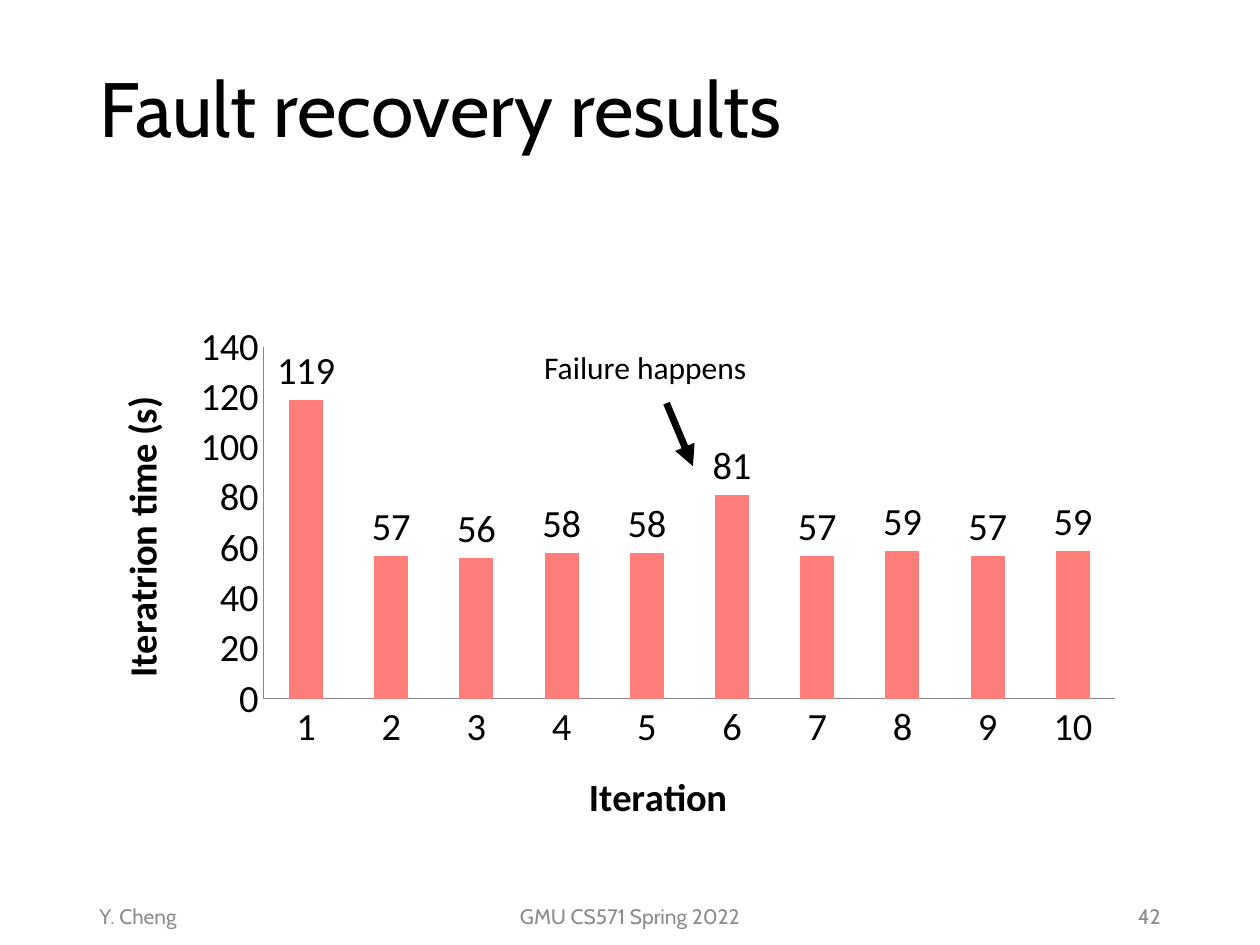
from lxml import etree
from pptx import Presentation
from pptx.chart.data import CategoryChartData
from pptx.dml.color import RGBColor
from pptx.enum.chart import XL_CHART_TYPE as CT, XL_LABEL_POSITION as LP, XL_TICK_MARK as TM
from pptx.enum.shapes import MSO_CONNECTOR as MC
from pptx.enum.text import MSO_ANCHOR as MA, MSO_AUTO_SIZE as AS, PP_ALIGN as PA
from pptx.oxml import parse_xml
from pptx.oxml.ns import nsdecls, qn
from pptx.util import Inches, Pt


def rgb(value):
    return RGBColor.from_string(value)


class SlideBuilder:
    """Holds the style and the current slide, and adds elements to it."""

    heading_font, body_font = "Cabin", "Calibri"
    ink, muted, bar, axis = "000000", "8C8C8C", "FF7E79", "868686"

    def __init__(self, slide):
        self.s = slide

    def style(self, font, size, color, name, bold=False):
        font.size, font.name, font.bold = Pt(size), name, bold
        font.color.rgb = rgb(color)

    def text(self, box, words, size, color, name, align=PA.LEFT,
             anchor=MA.MIDDLE, wrap=True, spacing=None):
        tf = self.s.shapes.add_textbox(*map(Inches, box)).text_frame
        tf.word_wrap, tf.vertical_anchor = wrap, anchor
        tf.auto_size = AS.NONE if wrap else AS.SHAPE_TO_FIT_TEXT
        p = tf.paragraphs[0]
        p.text, p.alignment, p.line_spacing = words, align, spacing
        self.style(p.font, size, color, name)

    def title(self, box, words):
        self.text(box, words, 44, self.ink, self.heading_font, spacing=0.9)

    def footer(self, left, width, words, align):
        self.text((left, 7.07, width, 0.4), words, 12, self.muted,
                  self.heading_font, align)

    def label(self, box, words):
        self.text(box, words, 18, self.ink, self.body_font,
                  anchor=MA.TOP, wrap=False)

    def arrow(self, start, end, width):
        c = self.s.shapes.add_connector(
            MC.STRAIGHT, *map(Inches, (*start, *end)))
        c.line.color.rgb, c.line.width = rgb(self.ink), Pt(width)
        etree.SubElement(c.line._get_or_add_ln(), qn("a:tailEnd"), type="triangle")
        etree.SubElement(c._element.spPr, qn("a:effectLst"))

    def axis_style(self, axis, title):
        axis.has_major_gridlines = False
        axis.major_tick_mark = axis.minor_tick_mark = TM.NONE
        axis.format.line.color.rgb = rgb(self.axis)
        axis.has_title = True
        p = axis.axis_title.text_frame.paragraphs[0]
        p.text = title
        self.style(p.font, 22, self.ink, self.body_font, bold=True)

    def column_chart(self, box, values, cat_title, val_title, top, step, plot_box):
        data = CategoryChartData()
        data.categories = [str(i) for i in range(1, len(values) + 1)]
        data.add_series("Series 1", values)
        chart = self.s.shapes.add_chart(
            CT.COLUMN_CLUSTERED, *map(Inches, box), data).chart
        chart.has_title = chart.has_legend = False
        self.style(chart.font, 22, self.ink, self.body_font)
        self.axis_style(chart.category_axis, cat_title)
        self.axis_style(chart.value_axis, val_title)
        chart.value_axis.minimum_scale = 0
        chart.value_axis.maximum_scale = top
        chart.value_axis.major_unit = step

        plot = chart.plots[0]
        plot.gap_width, plot.vary_by_categories = 150, False
        fill = plot.series[0].format.fill
        fill.solid()
        fill.fore_color.rgb = rgb(self.bar)
        labels = plot.series[0].data_labels
        labels.show_value, labels.position = True, LP.OUTSIDE_END
        labels.number_format, labels.number_format_is_linked = "#,##0", False
        self.style(labels.font, 22, self.ink, self.body_font)
        self.plot_layout(chart, plot_box)

    def plot_layout(self, chart, plot_box):
        sizes = "".join(f'<c:{tag} val="{v}"/>' for tag, v in zip("xywh", plot_box))
        layout = parse_xml(
            f'<c:layout {nsdecls("c")}><c:manualLayout>'
            '<c:layoutTarget val="inner"/><c:xMode val="edge"/><c:yMode val="edge"/>'
            f'{sizes}</c:manualLayout></c:layout>')
        area = chart._chartSpace.chart.plotArea
        for old in area.findall(qn("c:layout")):
            area.remove(old)
        area.insert(0, layout)


def main():
    prs = Presentation()
    prs.slide_width, prs.slide_height = Inches(10), Inches(7.5)
    b = SlideBuilder(prs.slides.add_slide(prs.slide_layouts[6]))
    b.title((0.69, 0.17, 8.62, 1.45), "Fault recovery results")
    b.footer(0.69, 2.25, "Y. Cheng", PA.LEFT)
    b.footer(3.31, 3.38, "GMU CS571 Spring 2022", PA.CENTER)
    b.footer(7.06, 2.25, "42", PA.RIGHT)
    b.column_chart((0.53, 2.25, 8.67, 4.58),
                   (119, 57, 56, 58, 58, 81, 57, 59, 57, 59),
                   "Iteration", "Iteratrion time (s)", 140, 20,
                   (0.18, 0.11, 0.78, 0.61))
    b.arrow((5.29, 3.2), (5.5, 3.7), 4)
    b.label((4.22, 2.71, 1.85, 0.4), "Failure happens")
    prs.save("out.pptx")


if __name__ == "__main__":
    main()
